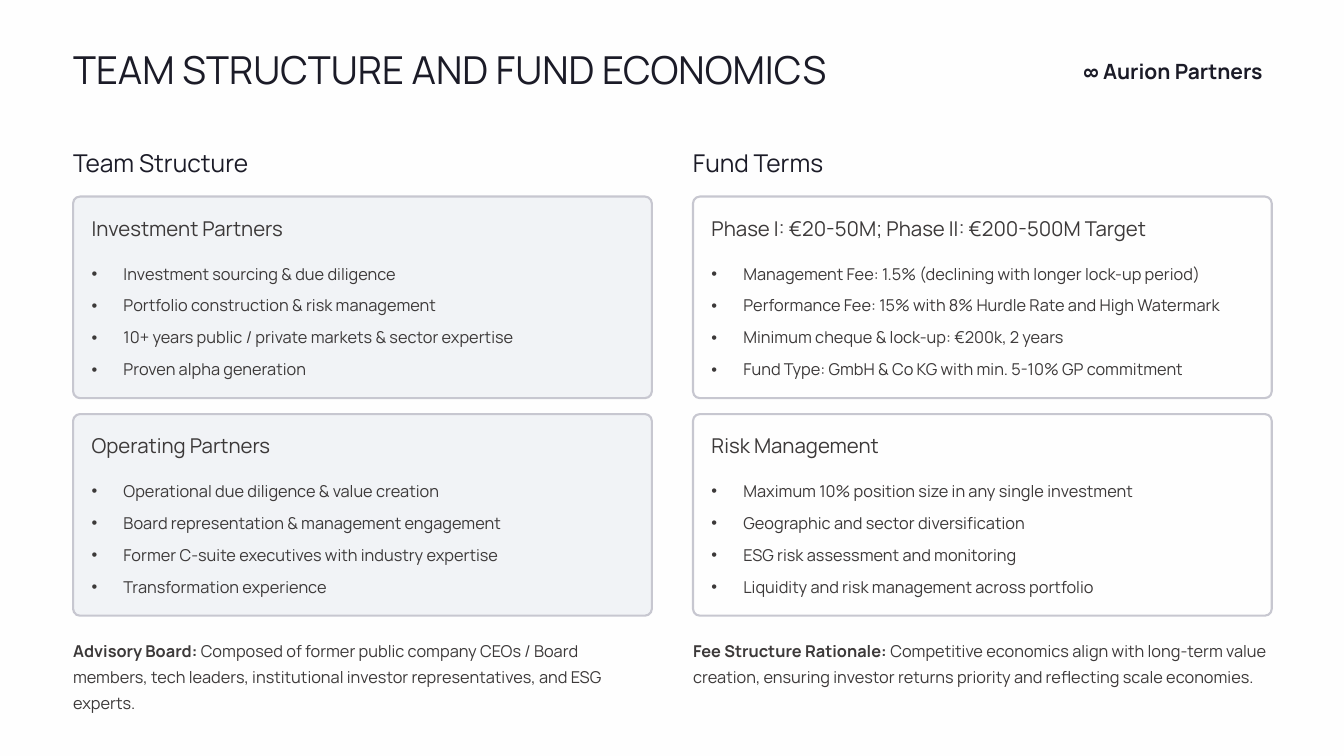
from dataclasses import dataclass

from lxml.etree import SubElement
from pptx import Presentation
from pptx.dml.color import RGBColor
from pptx.enum.shapes import MSO_SHAPE
from pptx.enum.text import MSO_ANCHOR, MSO_AUTO_SIZE, PP_ALIGN
from pptx.oxml.ns import qn
from pptx.util import Inches, Pt


@dataclass(frozen=True)
class Theme:
    font: str = "Manrope"
    background: str = "FEFEFE"
    ink: str = "1B1B27"
    body: str = "3C3939"
    card_fill: str = "D6DCE5"
    card_line: str = "C7C7D0"
    title_size: float = 33
    section_size: float = 21
    brand_size: float = 18
    card_size: float = 17.5
    body_size: float = 14
    body_leading: float = 22.5


class SlideBuilder:
    def __init__(self, slide, theme):
        self.slide = slide
        self.theme = theme
        background = slide.background.fill
        background.solid()
        background.fore_color.rgb = RGBColor.from_string(theme.background)

    def prepare(self, box, left, top, width, height, wrap=False):
        """Place a text holder and clear its margins."""
        box.left, box.top = Inches(left), Inches(top)
        box.width, box.height = Inches(width), Inches(height)
        frame = box.text_frame
        frame.margin_left = frame.margin_right = 0
        frame.margin_top = frame.margin_bottom = 0
        frame.vertical_anchor = MSO_ANCHOR.TOP
        frame.auto_size = MSO_AUTO_SIZE.NONE
        frame.word_wrap = wrap
        return frame

    def style(self, paragraph, size, color, leading, bold=False):
        paragraph.alignment = PP_ALIGN.LEFT
        paragraph.line_spacing = Pt(leading)
        paragraph.space_before = Pt(0)
        font = paragraph.font
        font.name, font.size, font.bold = self.theme.font, Pt(size), bold
        font.color.rgb = RGBColor.from_string(color)

    def title(self, text):
        frame = self.prepare(self.slide.shapes.title, 0.87, 0.63, 9.5, 0.47)
        frame.text = text
        self.style(frame.paragraphs[0], self.theme.title_size, self.theme.ink, 34)

    def label(self, text, left, top, width, height, size, color, leading, bold=False):
        box = self.slide.shapes.add_textbox(0, 0, 0, 0)
        frame = self.prepare(box, left, top, width, height)
        frame.text = text
        self.style(frame.paragraphs[0], size, color, leading, bold)
        return frame.paragraphs[0]

    def card(self, left, top, tinted):
        card = self.slide.shapes.add_shape(
            MSO_SHAPE.ROUNDED_RECTANGLE,
            Inches(left), Inches(top), Inches(6.89), Inches(2.4))
        card.adjustments[0] = 0.034
        card.shadow.inherit = False
        card.line.color.rgb = RGBColor.from_string(self.theme.card_line)
        card.line.width = Pt(1.8)
        if tinted:
            card.fill.solid()
            card.fill.fore_color.rgb = RGBColor.from_string(self.theme.card_fill)
            color = card.fill._xPr.find(qn("a:solidFill"))[0]
            SubElement(color, qn("a:alpha"), val="30000")
        else:
            card.fill.background()

    def bullets(self, placeholder, items, left, top):
        # Bring the list in front of its card
        self.slide.shapes._spTree.append(placeholder._element)
        frame = self.prepare(placeholder, left, top, 6.45, 1.45)
        frame.text = "\n".join(items)
        for paragraph in frame.paragraphs:
            self.style(paragraph, self.theme.body_size, self.theme.body,
                       self.theme.body_leading)
            paragraph.space_after = Pt(4.9)
            properties = paragraph._p.get_or_add_pPr()
            properties.set("marL", str(Inches(0.38)))
            properties.set("indent", str(-Inches(0.38)))
            bullet = SubElement(properties, qn("a:buChar"), char="•")
            properties.find(qn("a:defRPr")).addprevious(bullet)

    def note(self, lead, text, left):
        box = self.slide.shapes.add_textbox(0, 0, 0, 0)
        frame = self.prepare(box, left, 7.55, 6.89, 0.62, wrap=True)
        paragraph = frame.paragraphs[0]
        self.style(paragraph, self.theme.body_size, self.theme.body,
                   self.theme.body_leading)
        lead_run = paragraph.add_run()
        lead_run.text = lead
        lead_run.font.bold = True
        paragraph.add_run().text = text


# Each column: left edge, tinted cards, section, cards, closing note
COLUMNS = [
    (0.87, True, "Team Structure", [
        ("Investment Partners", [
            "Investment sourcing & due diligence",
            "Portfolio construction & risk management",
            "10+ years public / private markets & sector expertise",
            "Proven alpha generation"]),
        ("Operating Partners", [
            "Operational due diligence & value creation",
            "Board representation & management engagement",
            "Former C-suite executives with industry expertise",
            "Transformation experience"]),
    ], ("Advisory Board:",
        " Composed of former public company CEOs / Board members, tech leaders, "
        "institutional investor representatives, and ESG experts.")),
    (8.25, False, "Fund Terms", [
        ("Phase I: €20-50M; Phase II: €200-500M Target", [
            "Management Fee: 1.5% (declining with longer lock-up period)",
            "Performance Fee: 15% with 8% Hurdle Rate and High Watermark",
            "Minimum cheque & lock-up: €200k, 2 years",
            "Fund Type: GmbH & Co KG with min. 5-10% GP commitment"]),
        ("Risk Management", [
            "Maximum 10% position size in any single investment",
            "Geographic and sector diversification",
            "ESG risk assessment and monitoring",
            "Liquidity and risk management across portfolio"]),
    ], ("Fee Structure Rationale:",
        " Competitive economics align with long-term value creation, ensuring "
        "investor returns priority and reflecting scale economies.")),
]
CARD_TOP, CARD_PITCH, CARD_INSET = 2.34, 2.59, 0.22


def main():
    presentation = Presentation()
    presentation.slide_width, presentation.slide_height = Inches(16), Inches(9)
    theme = Theme()
    # The comparison layout offers a title and four body placeholders
    slide = presentation.slides.add_slide(presentation.slide_layouts[4])
    builder = SlideBuilder(slide, theme)
    list_holders = iter([p for p in slide.placeholders
                         if p.placeholder_format.idx in (1, 2, 3, 4)])

    # Header
    builder.title("TEAM STRUCTURE AND FUND ECONOMICS")
    brand = builder.label("∞ Aurion Partners", 11.83, 0.66, 3.2, 0.3,
                          theme.brand_size, theme.ink, 24, bold=True)
    brand.alignment = PP_ALIGN.RIGHT

    # Columns of cards
    for left, tinted, section, cards, (lead, text) in COLUMNS:
        builder.label(section, left, 1.75, 2.93, 0.37,
                      theme.section_size, theme.ink, 26)
        for row, (heading, items) in enumerate(cards):
            top = CARD_TOP + row * CARD_PITCH
            builder.card(left, top, tinted)
            builder.label(heading, left + CARD_INSET, top + CARD_INSET, 6.45, 0.31,
                          theme.card_size, theme.body, 21.5)
            builder.bullets(next(list_holders), items, left + CARD_INSET, top + 0.72)
        builder.note(lead, text, left)

    presentation.save("out.pptx")


if __name__ == "__main__":
    main()
